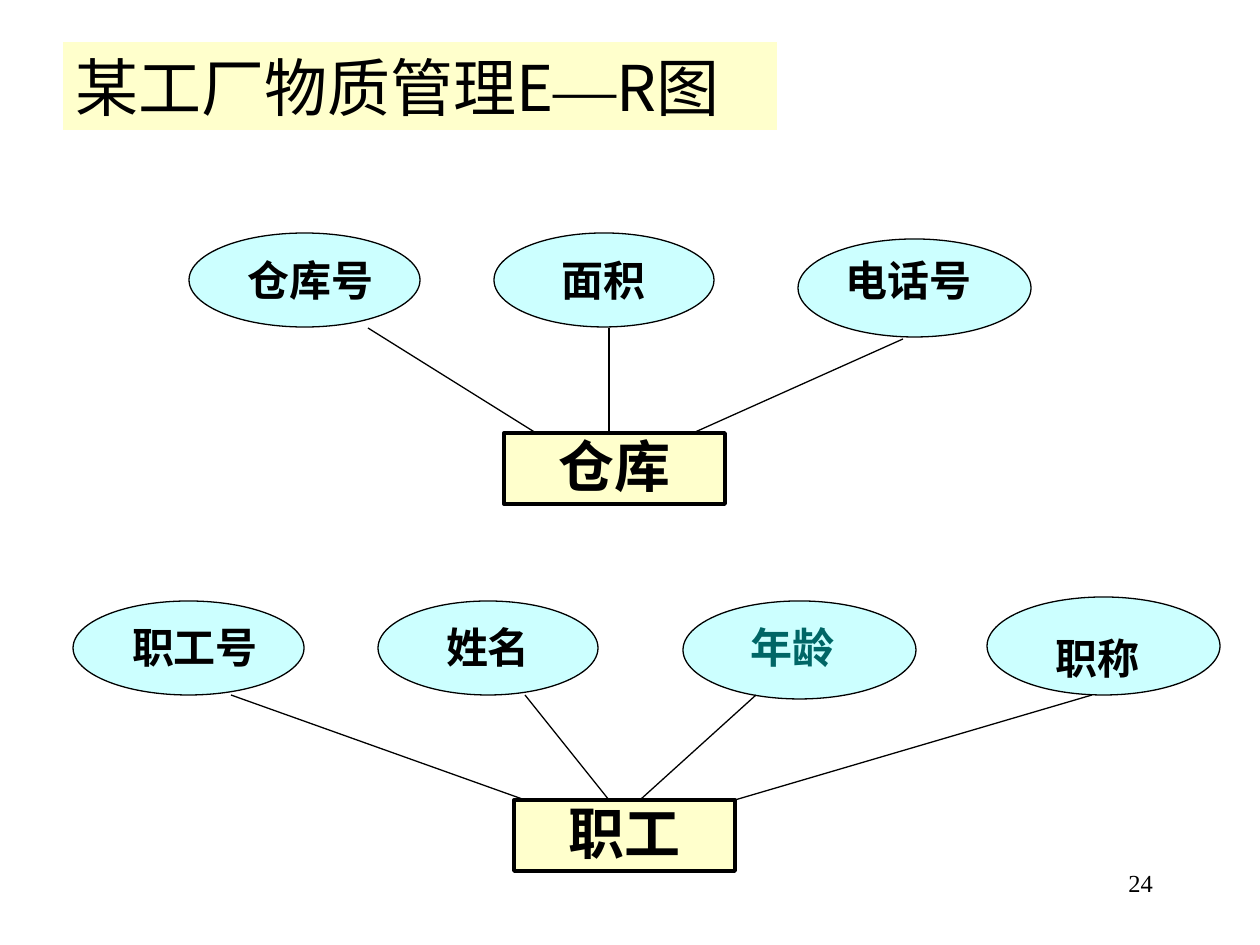
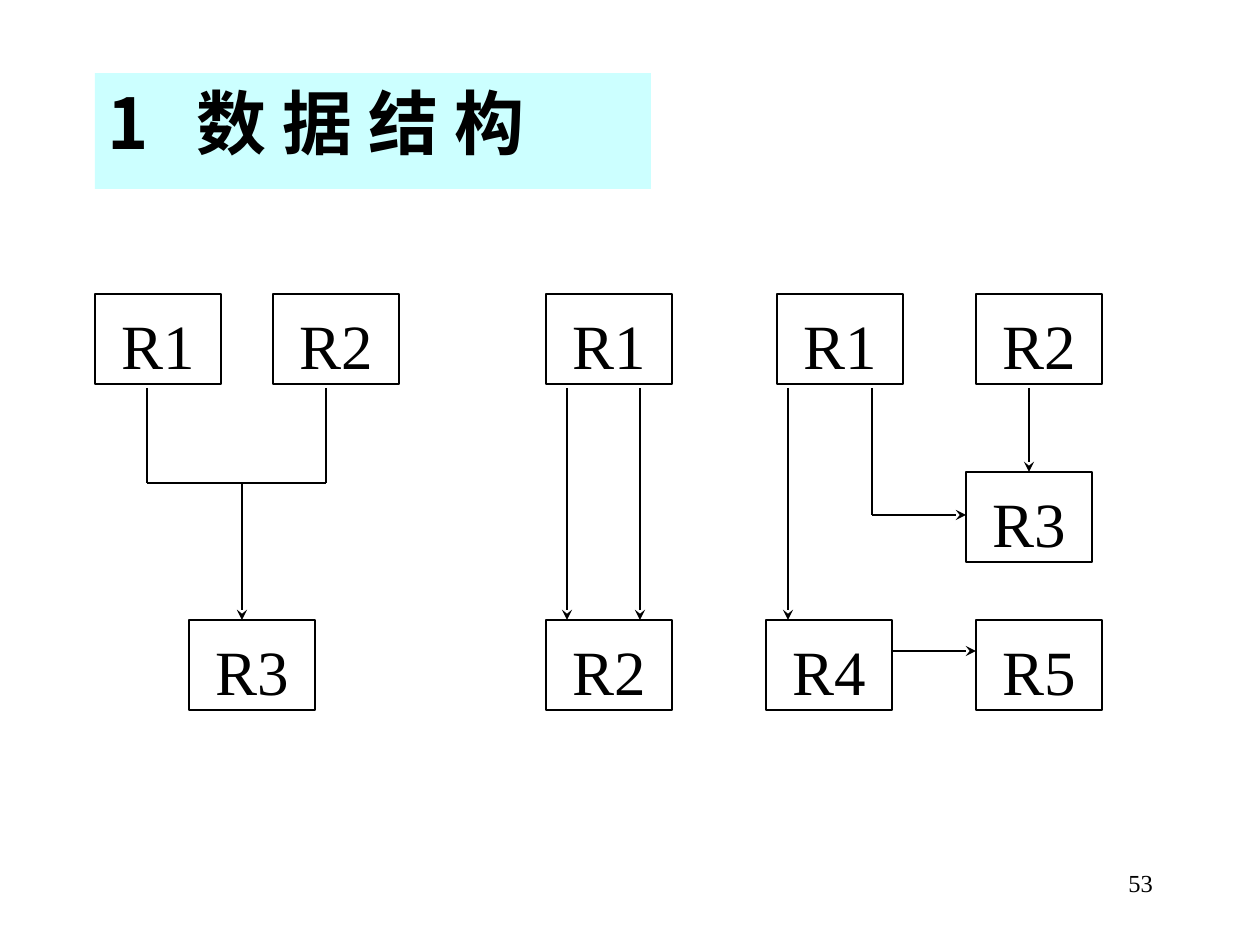
"""Build two database slides: an entity-relationship diagram and record structures."""
import lxml.etree
import pptx
import pptx.dml.color
import pptx.enum.shapes
import pptx.enum.text
import pptx.oxml.ns
import pptx.util

SCALE = 914400 / 126
SIZE = (1260, 945)
COLORS = {"ink": "000000", "teal": "006666", "cream": "FFFFCC", "aqua": "CCFFFF"}
SERIF, SANS = "Times New Roman", "Noto Sans CJK SC"
ALIGN = pptx.enum.text.PP_ALIGN
SHAPE = pptx.enum.shapes.MSO_SHAPE

NUMBER_AREA = (903, 861, 262, 63)
NUMBER_STYLE = {"size": 14, "align": ALIGN.RIGHT, "drop": -10}
LABEL_STYLE = {"size": 24, "bold": True, "inset": 0}
ENTITY_STYLE = {"size": 32, "bold": True, "inset": 0, "drop": -3}
RECORD_STYLE = {"size": 36, "drop": 5}

ER_SLIDE = {
    "number": "24",
    "title": [("某工厂物质管理E", SANS), ("—", SERIF), ("R图", SANS)],
    "area": (63, 42, 714, 88),
    "fill": "cream",
    "style": {"size": 36},
}
STRUCTURE_SLIDE = {
    "number": "53",
    "title": [("1\t数 据 结 构", SANS)],
    "area": (95, 73, 556, 116),
    "fill": "aqua",
    "style": {"size": 40, "bold": True, "drop": -10, "tab": 90},
}

ENTITIES = [
    {
        "name": "仓库",
        "area": (504, 433, 221, 71),
        "attributes": [
            ("仓库号", (189, 233, 231, 94), (231, 255, 158), "ink"),
            ("电话号", (798, 239, 233, 98), (819, 255, 179), "ink"),
            ("面积", (494, 233, 220, 94), (557, 255, 94), "ink"),
        ],
        "links": [(368, 328, 536), (609, 328, 609), (903, 339, 693)],
    },
    {
        "name": "职工",
        "area": (514, 800, 221, 71),
        "attributes": [
            ("职工号", (73, 601, 231, 94), (116, 622, 158), "ink"),
            ("年龄", (683, 601, 233, 98), (703, 622, 179), "teal"),
            ("姓名", (378, 601, 220, 94), (441, 622, 94), "ink"),
            ("职称", (987, 597, 233, 98), (1008, 633, 179), "ink"),
        ],
        "links": [(231, 695, 525), (525, 695, 609), (756, 695, 640), (1092, 695, 735)],
    },
]

TOP, MIDDLE, LOW = 294, 472, 620
START, JOIN, ELBOW, ACROSS = 388, 483, 515, 651
RECORD_SIZE = (126, 90)
RECORDS = [
    ("R1", 95, TOP), ("R2", 273, TOP), ("R3", 189, LOW),
    ("R1", 546, TOP), ("R2", 546, LOW),
    ("R1", 777, TOP), ("R2", 976, TOP), ("R4", 766, LOW), ("R5", 976, LOW),
]
SHARED_RECORD = ("R3", 966, MIDDLE)
PLAIN_LINES = [
    (147, START, 147, JOIN), (326, START, 326, JOIN), (147, JOIN, 326, JOIN),
    (872, START, 872, ELBOW),
]
ARROWS = [
    (242, JOIN, 242, LOW), (567, START, 567, LOW), (640, START, 640, LOW),
    (788, START, 788, LOW), (872, ELBOW, 966, ELBOW), (893, ACROSS, 976, ACROSS),
]
SHARED_ARROW = (1029, START, 1029, MIDDLE)


def emu(values):
    """Turn px lengths into EMU."""
    return [round(value * SCALE) for value in values]


def assign(target, values):
    """Set attributes of an object from a dict."""
    for name, value in values.items():
        setattr(target, name, value)


def rgb(name):
    """Look up a colour by name."""
    return pptx.dml.color.RGBColor.from_string(COLORS[name])


def add_element(parent, tag, **attributes):
    """Append a DrawingML element."""
    return lxml.etree.SubElement(parent, pptx.oxml.ns.qn(tag), attributes)


def write(box, spans, size, bold=False, color="ink", align=ALIGN.CENTER,
          inset=12, drop=0, tab=None):
    """Fill a box with one formatted paragraph, moved down by drop px."""
    side, above, below = emu((inset, max(0, 2 * drop), max(0, -2 * drop)))
    assign(box.text_frame, {
        "auto_size": pptx.enum.text.MSO_AUTO_SIZE.NONE,
        "word_wrap": True,
        "vertical_anchor": pptx.enum.text.MSO_ANCHOR.MIDDLE,
        "margin_left": side, "margin_right": side,
        "margin_top": above, "margin_bottom": below,
    })
    para = box.text_frame.paragraphs[0]
    if tab:
        stops = add_element(para._p.get_or_add_pPr(), "a:tabLst")
        add_element(stops, "a:tab", pos=str(emu([tab])[0]), algn="l")
    assign(para, {"alignment": align, "space_before": pptx.util.Pt(0), "line_spacing": 1.0})
    for text, face in spans:
        span = para.add_run()
        span.text = text
        assign(span.font, {"name": face, "size": pptx.util.Pt(size), "bold": bold})
        span.font.color.rgb = rgb(color)
        east_asian = SANS if face == SERIF and text != "—" else face
        add_element(span._r.get_or_add_rPr(), "a:ea", typeface=east_asian)


def add_text(page, text, area, **style):
    """Add a text box."""
    write(page.shapes.add_textbox(*emu(area)), [(text, SERIF)], **style)


def add_outlined(page, kind, area, fill=None, weight=0.75):
    """Add a preset shape with a black outline."""
    box = page.shapes.add_shape(kind, *emu(area))
    box.shadow.inherit = False
    if fill:
        box.fill.solid()
        box.fill.fore_color.rgb = rgb(fill)
    else:
        box.fill.background()
    box.line.color.rgb = rgb("ink")
    box.line.width = pptx.util.Pt(weight)
    return box


def add_line(page, ends, arrow=False):
    """Add a thin straight line, with a stealth head if asked."""
    line = page.shapes.add_connector(pptx.enum.shapes.MSO_CONNECTOR.STRAIGHT, *emu(ends))
    line.line.color.rgb = rgb("ink")
    line.line.width = pptx.util.Pt(0.75)
    if arrow:
        add_element(line.line._get_or_add_ln(), "a:tailEnd", type="stealth")
    add_element(line._element.spPr, "a:effectLst")
    return line


def add_page(deck, content):
    """Add a slide with its title band and page number."""
    page = deck.slides.add_slide(deck.slide_layouts[5])
    title = page.shapes.title
    assign(title, dict(zip(("left", "top", "width", "height"), emu(content["area"]))))
    title.fill.solid()
    title.fill.fore_color.rgb = rgb(content["fill"])
    write(title, content["title"], align=ALIGN.LEFT, **content["style"])
    add_text(page, content["number"], NUMBER_AREA, **NUMBER_STYLE)
    return page


def add_entity(page, entity):
    """Draw an entity, its attributes and the lines between them."""
    box = add_outlined(page, SHAPE.RECTANGLE, entity["area"], "cream", 2.25)
    write(box, [(entity["name"], SERIF)], **ENTITY_STYLE)
    for text, area, label, color in entity["attributes"]:
        add_outlined(page, SHAPE.OVAL, area, "aqua")
        add_text(page, text, (*label, 50), color=color, **LABEL_STYLE)
    for left, top, foot in entity["links"]:
        add_line(page, (left, top, foot, entity["area"][1]))


def add_record(page, name, left, top):
    """Draw one record box."""
    box = add_outlined(page, SHAPE.RECTANGLE, (left, top, *RECORD_SIZE))
    write(box, [(name, SERIF)], **RECORD_STYLE)
    return box


def main():
    """Build and save the deck."""
    deck = pptx.Presentation()
    deck.slide_width, deck.slide_height = emu(SIZE)
    page = add_page(deck, ER_SLIDE)
    for entity in ENTITIES:
        add_entity(page, entity)
    page = add_page(deck, STRUCTURE_SLIDE)
    for record in RECORDS:
        add_record(page, *record)
    shared = add_record(page, *SHARED_RECORD)
    for ends in PLAIN_LINES:
        add_line(page, ends)
    for ends in ARROWS:
        add_line(page, ends, arrow=True)
    add_line(page, SHARED_ARROW, arrow=True).end_connect(shared, 0)
    deck.save("out.pptx")


if __name__ == "__main__":
    main()
